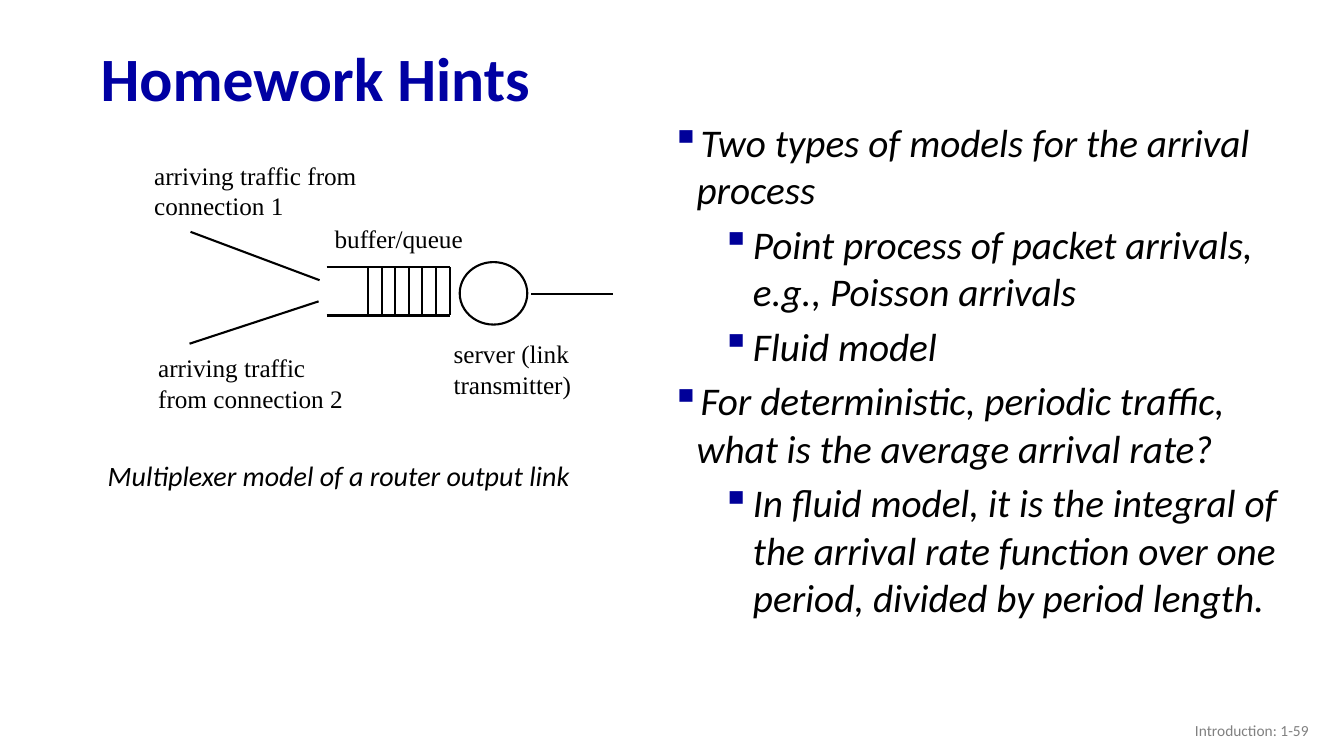
from lxml import etree
from pptx import Presentation
from pptx.dml.color import RGBColor
from pptx.enum.shapes import MSO_CONNECTOR, MSO_SHAPE
from pptx.enum.text import MSO_ANCHOR, PP_ALIGN
from pptx.oxml.ns import qn
from pptx.util import Inches, Pt

STRAIGHT = MSO_CONNECTOR.STRAIGHT
ELLIPSE = MSO_SHAPE.OVAL
TOP, MIDDLE = MSO_ANCHOR.TOP, MSO_ANCHOR.MIDDLE
LEFT, RIGHT = PP_ALIGN.LEFT, PP_ALIGN.RIGHT

BLACK, WHITE, GREY = "000000", "FFFFFF", "808080"
TITLE_BLUE, BULLET_BLUE = "0000A3", "000099"
BODY_FONT, LABEL_FONT = "Calibri", "Times New Roman"
LINE_WIDTH = Pt(1.5)

# Indent level and wording of each hint
HINTS = [
    (0, "Two types of models for the arrival process"),
    (1, "Point process of packet arrivals, e.g., Poisson arrivals"),
    (1, "Fluid model"),
    (0, "For deterministic, periodic traffic, what is the average arrival rate?"),
    (1, "In fluid model, it is the integral of the arrival rate function over "
        "one period, divided by period length."),
]
# Left margin and hanging indent of each level, in inches
INDENTS = [(0.25, -0.25), (0.81, -0.31)]


def color(hex_string):
    return RGBColor.from_string(hex_string)


def add_bullet(paragraph, level):
    margin, hanging = INDENTS[level]
    paragraph.level = level
    props = paragraph._p.get_or_add_pPr()
    props.set("marL", str(Inches(margin)))
    props.set("indent", str(Inches(hanging)))
    bullet_color = etree.SubElement(props, qn("a:buClr"))
    etree.SubElement(bullet_color, qn("a:srgbClr")).set("val", BULLET_BLUE)
    etree.SubElement(props, qn("a:buChar")).set("char", "▪")


def add_text(slide, box, text, size, font=BODY_FONT, ink=BLACK, bold=False,
             italic=False, align=LEFT, anchor=TOP, spacing=None, fill=None):
    """Text is a string, or a list of (level, string) for bullets."""
    textbox = slide.shapes.add_textbox(*map(Inches, box))
    if fill:
        textbox.fill.solid()
        textbox.fill.fore_color.rgb = color(fill)
    frame = textbox.text_frame
    frame.word_wrap = True
    frame.vertical_anchor = anchor
    items = [(None, text)] if isinstance(text, str) else text
    for index, (level, words) in enumerate(items):
        paragraph = frame.add_paragraph() if index else frame.paragraphs[0]
        if level is not None:
            add_bullet(paragraph, level)
        if index:
            paragraph.space_before = Pt(0.2 * size)
        if spacing:
            paragraph.line_spacing = spacing
        paragraph.alignment = align
        run = paragraph.add_run()
        run.text = words
        run.font.name, run.font.size = font, Pt(size)
        run.font.bold, run.font.italic = bold, italic
        run.font.color.rgb = color(ink)


def add_line(slide, x1, y1, x2, y2):
    line = slide.shapes.add_connector(STRAIGHT, *map(Inches, (x1, y1, x2, y2)))
    line.line.color.rgb = color(BLACK)
    line.line.width = LINE_WIDTH
    etree.SubElement(line._element.spPr, qn("a:effectLst"))


def add_queue(slide, left, top, width, height, slots=6, slot_width=0.135):
    """Buffer open on the left, with packet slots filled from the right."""
    right, bottom = left + width, top + height
    for y in (top, bottom):
        add_line(slide, left, y, right, y)
    for slot in range(slots + 1):
        x = right - slot * slot_width
        add_line(slide, x, top, x, bottom)


def add_server(slide, left, top, width, height):
    server = slide.shapes.add_shape(
        ELLIPSE, *map(Inches, (left, top, width, height)))
    server.shadow.inherit = False
    server.fill.solid()
    server.fill.fore_color.rgb = color(WHITE)
    server.line.color.rgb = color(BLACK)
    server.line.width = LINE_WIDTH


def add_multiplexer(slide, left, top):
    labels = [
        ((0.04, 1.91, 2.09, 0.69), "arriving traffic from connection 2", WHITE),
        ((1.79, 0.63, 1.58, 0.48), "buffer/queue", WHITE),
        ((2.97, 1.77, 1.58, 0.62), "server (link transmitter)", None),
        ((0, 0, 2.25, 0.69), "arriving traffic from connection 1", None),
    ]
    for (x, y, width, height), label, fill in labels:
        add_text(slide, (left + x, top + y, width, height), label, 18,
                 font=LABEL_FONT, fill=fill)
    add_queue(slide, left + 1.81, top + 1.11, 1.22, 0.48)
    add_server(slide, left + 3.13, top + 1.06, 0.67, 0.62)
    output_link = (3.84, 1.38, 4.65, 1.38)
    connections = [(0.46, 0.76, 1.74, 1.24), (0.45, 1.87, 1.73, 1.45)]
    for x1, y1, x2, y2 in [output_link, *connections]:
        add_line(slide, left + x1, top + y1, left + x2, top + y2)


def build_hints_slide(slide):
    add_text(slide, (0.9, 0.32, 11.5, 0.98), "Homework Hints", 44,
             ink=TITLE_BLUE, bold=True, anchor=MIDDLE, spacing=0.9)
    add_text(slide, (10.08, 7.05, 3, 0.4), "Introduction: 1-59", 11,
             ink=GREY, align=RIGHT, anchor=MIDDLE)
    add_text(slide, (0.97, 4.5, 5.6, 0.73),
             "Multiplexer model of a router output link", 20, italic=True)
    add_multiplexer(slide, 1.43, 1.54)
    add_text(slide, (6.56, 1.12, 6.21, 2.45), HINTS, 28, italic=True)


def main():
    deck = Presentation()
    deck.slide_width, deck.slide_height = Inches(13.33), Inches(7.5)
    build_hints_slide(deck.slides.add_slide(deck.slide_layouts[6]))
    deck.save("out.pptx")


if __name__ == "__main__":
    main()
